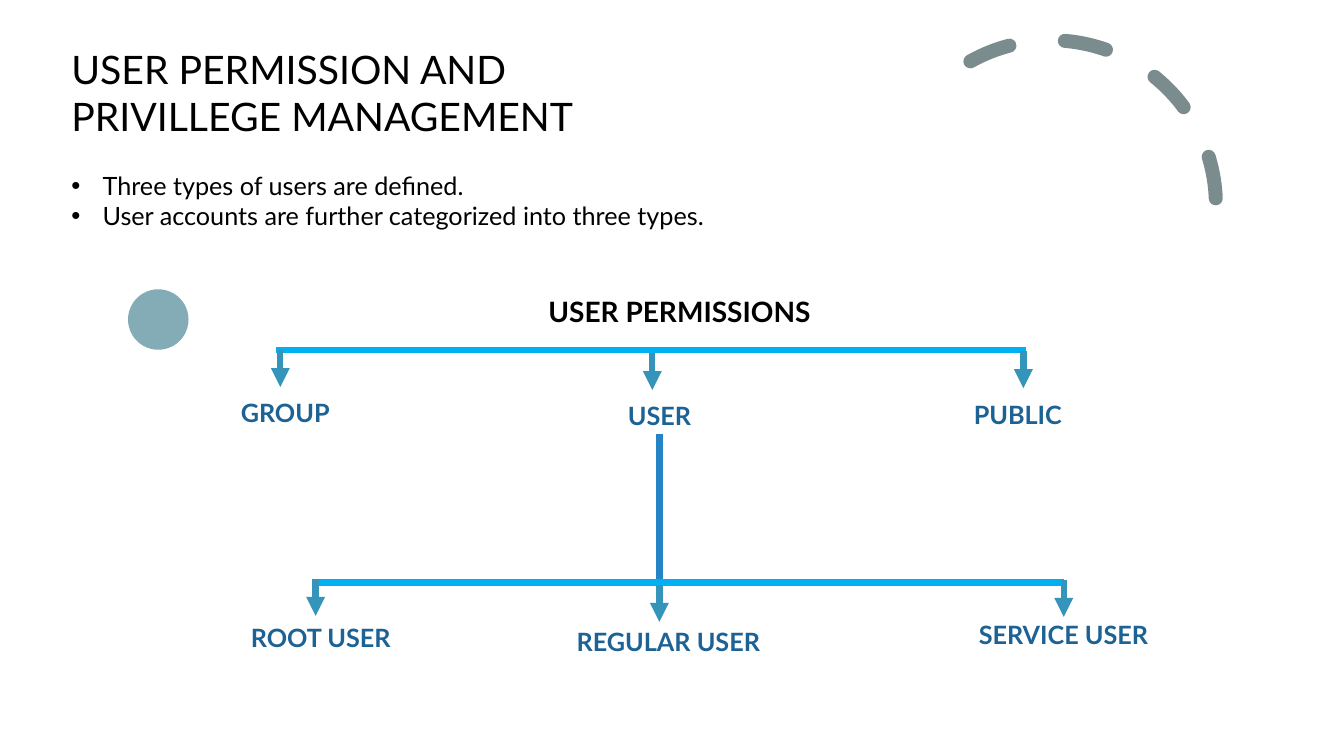
from lxml.etree import SubElement
from pptx import Presentation
from pptx.dml.color import RGBColor
from pptx.enum.dml import MSO_LINE
from pptx.enum.shapes import MSO_CONNECTOR, MSO_SHAPE
from pptx.oxml.ns import qn
from pptx.util import Inches, Pt

BLACK = "000000"
LABEL_BLUE = "1D6294"
BAR_BLUE = "00B0F0"
ARROW_TEAL = "3494BA"
STEM_BLUE = "2683C6"
CIRCLE_TEAL = "84ACB6"
ARC_GREY = "7A8C8E"
ARROW_LENGTH = 0.37


def colour(value):
    return RGBColor.from_string(value)


def add_bullet(para):
    props = para._p.get_or_add_pPr()
    props.set("marL", str(Inches(0.31)))
    props.set("indent", str(Inches(-0.31)))
    SubElement(props, qn("a:buSzPct"), val="102000")
    SubElement(props, qn("a:buFont"), typeface="Arial")
    SubElement(props, qn("a:buChar"), char="•")


def add_text(page, text, left, top, width, height, size=18, color=BLACK, bold=False, bullets=False):
    box = page.shapes.add_textbox(Inches(left), Inches(top), Inches(width), Inches(height))
    frame = box.text_frame
    frame.word_wrap = True
    frame.text = text
    for para in frame.paragraphs:
        if bullets:
            add_bullet(para)
        font = para.runs[0].font
        font.name = "Lato"
        font.size = Pt(size)
        font.bold = bold
        font.color.rgb = colour(color)


def add_line(page, x1, y1, x2, y2, color, arrow=False):
    line = page.shapes.add_connector(
        MSO_CONNECTOR.STRAIGHT, Inches(x1), Inches(y1), Inches(x2), Inches(y2))
    line.line.color.rgb = colour(color)
    line.line.width = Pt(4.5)
    if arrow:
        SubElement(line.line._get_or_add_ln(), qn("a:tailEnd"), type="triangle")
    SubElement(line._element.spPr, qn("a:effectLst"))


def add_circle(page, left, top, size, color):
    circle = page.shapes.add_shape(
        MSO_SHAPE.OVAL, Inches(left), Inches(top), Inches(size), Inches(size))
    circle.shadow.inherit = False
    circle.fill.solid()
    circle.fill.fore_color.rgb = colour(color)
    circle.line.fill.background()


def add_dashed_arc(page, left, top, size, start, color):
    arc = page.shapes.add_shape(
        MSO_SHAPE.ARC, Inches(left), Inches(top), Inches(size), Inches(size))
    arc.adjustments[0] = start
    arc.adjustments[1] = 0
    arc.shadow.inherit = False
    arc.fill.background()
    arc.line.color.rgb = colour(color)
    arc.line.width = Pt(10)
    arc.line.dash_style = MSO_LINE.DASH
    arc.line._get_or_add_ln().set("cap", "rnd")


def add_branch(page, left, right, bar_y, arrows, labels):
    add_line(page, left, bar_y, right, bar_y, BAR_BLUE)
    for x, y in arrows:
        add_line(page, x, y, x, y + ARROW_LENGTH, ARROW_TEAL, arrow=True)
    for text, x, y, width in labels:
        add_text(page, text, x, y, width, 0.4, color=LABEL_BLUE, bold=True)


def main():
    deck = Presentation()
    deck.slide_width = Inches(13.33)
    deck.slide_height = Inches(7.5)
    page = deck.slides.add_slide(deck.slide_layouts[6])

    add_circle(page, 1.27, 2.87, 0.6, CIRCLE_TEAL)
    add_dashed_arc(page, 8.79, 0.4, 3.27, 144.42, ARC_GREY)
    add_text(page, "USER PERMISSION AND PRIVILLEGE MANAGEMENT", 0.61, 0.4, 5.87, 1.04, size=28)
    add_text(page, "Three types of users are defined.\n"
             "User accounts are further categorized into three types.",
             0.61, 1.64, 6.57, 1.31, bullets=True)
    add_text(page, "USER PERMISSIONS", 5.34, 2.87, 3.19, 0.44, size=20, bold=True)

    add_branch(page, 2.74, 10.18, 3.47,
               [(2.78, 3.47), (6.47, 3.5), (10.15, 3.48)],
               [("GROUP", 2.29, 3.89, 1.13), ("USER", 6.13, 3.92, 1.12),
                ("PUBLIC", 9.56, 3.91, 1.2)])
    add_branch(page, 3.11, 10.55, 5.78,
               [(3.13, 5.74), (6.54, 5.8), (10.55, 5.75)],
               [("ROOT USER", 2.39, 6.12, 1.68), ("REGULAR USER", 5.62, 6.16, 2.42),
                ("SERVICE USER", 9.61, 6.09, 2.03)])
    add_line(page, 6.54, 4.31, 6.54, 5.74, STEM_BLUE)

    deck.save("out.pptx")


if __name__ == "__main__":
    main()
